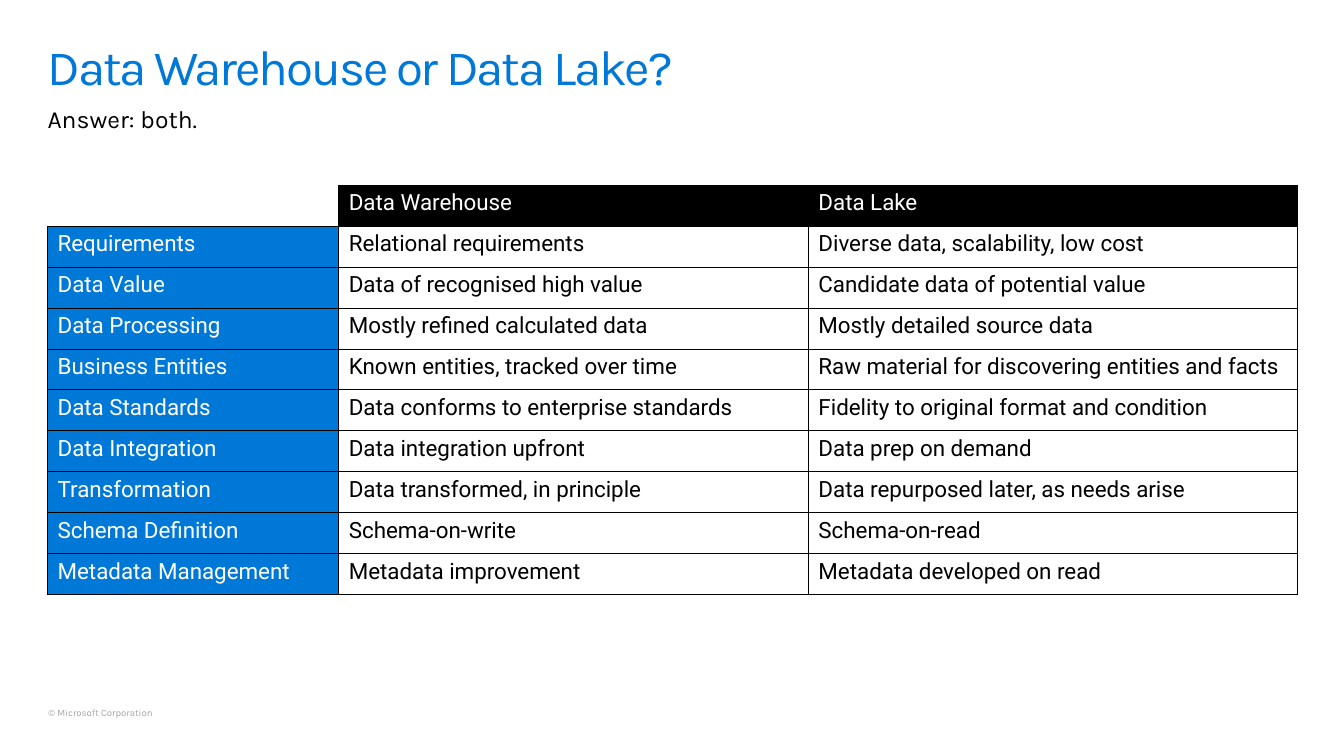
from lxml import etree
from pptx import Presentation
from pptx import util as u
from pptx.dml import color
from pptx.enum import text
from pptx.oxml import ns

Pt = u.Pt
COLORS = {"blue": "0078D7", "black": "000000", "white": "FFFFFF", "gray": "A6A6A6"}
HEADING_FONT, TABLE_FONT = "Karla", "Roboto"
LEFT, WIDTH = 34, 892.8

COLUMN_WIDTHS = (208, 335.5, 349.3)
ROWS = (
    ("", "Data Warehouse", "Data Lake"),
    ("Requirements", "Relational requirements", "Diverse data, scalability, low cost"),
    ("Data Value", "Data of recognised high value", "Candidate data of potential value"),
    ("Data Processing", "Mostly refined calculated data", "Mostly detailed source data"),
    ("Business Entities", "Known entities, tracked over time",
     "Raw material for discovering entities and facts"),
    ("Data Standards", "Data conforms to enterprise standards",
     "Fidelity to original format and condition"),
    ("Data Integration", "Data integration upfront", "Data prep on demand"),
    ("Transformation", "Data transformed, in principle", "Data repurposed later, as needs arise"),
    ("Schema Definition", "Schema-on-write", "Schema-on-read"),
    ("Metadata Management", "Metadata improvement", "Metadata developed on read"),
)


def rgb(name):
    return color.RGBColor.from_string(COLORS[name])


def add_span(para, words, font, size, ink):
    span = para.add_run()
    span.text = words
    span.font.name = font
    span.font.size = Pt(size)
    span.font.color.rgb = rgb(ink)
    return span


def add_line(page, box, words, size, ink, top_inset=0, wrap=True):
    """Place one line of heading-font text and return its paragraph and run."""
    frame = page.shapes.add_textbox(*map(Pt, box)).text_frame
    frame.word_wrap = wrap
    frame.vertical_anchor = text.MSO_ANCHOR.TOP
    frame.margin_left = frame.margin_right = frame.margin_bottom = 0
    frame.margin_top = Pt(top_inset)
    para = frame.paragraphs[0]
    return para, add_span(para, words, HEADING_FONT, size, ink)


def add_heading(page, box):
    left, top, width, height = box
    para, span = add_line(page, (left, top, width, 58), "Data Warehouse or Data Lake?",
                          35.3, "blue", top_inset=13)
    para.line_spacing = 0.9
    span.font._element.set("spc", "-150")
    add_line(page, (left, top + 57, width, height - 57), "Answer: both.", 17.6, "black")


def set_borders(cell, hidden=()):
    properties = cell._tc.get_or_add_tcPr()
    for side in ("lnL", "lnR", "lnT", "lnB"):
        line = etree.SubElement(properties, ns.qn(f"a:{side}"), w=str(Pt(0.5)))
        if side in hidden:
            etree.SubElement(line, ns.qn("a:noFill"))
        else:
            fill = etree.SubElement(line, ns.qn("a:solidFill"))
            etree.SubElement(fill, ns.qn("a:srgbClr"), val=COLORS["black"])


def cell_colors(row, column):
    """Return the fill and text colours for a table position."""
    if row == 0 and column > 0:
        return "black", "white"
    if row > 0 and column == 0:
        return "blue", "white"
    return "white", "black"


def add_comparison(page, box):
    frame = page.shapes.add_table(len(ROWS), len(COLUMN_WIDTHS), *map(Pt, box))
    table = frame.table
    table.first_row = table.horz_banding = False
    for column, width in zip(table.columns, COLUMN_WIDTHS):
        column.width = Pt(width)
    for r, words in enumerate(ROWS):
        table.rows[r].height = Pt(box[3] / len(ROWS))
        for c, label in enumerate(words):
            cell = table.cell(r, c)
            fill, ink = cell_colors(r, c)
            set_borders(cell, hidden=("lnL", "lnT") if r == c == 0 else ())
            cell.fill.solid()
            cell.fill.fore_color.rgb = rgb(fill)
            if label:
                add_span(cell.text_frame.paragraphs[0], label, TABLE_FONT, 16, ink)


def add_footer(page, box):
    para, _ = add_line(page, box, "© Microsoft Corporation", 6.9, "gray", wrap=False)
    para.line_spacing = 0.9


def main():
    deck = Presentation()
    deck.slide_width, deck.slide_height = Pt(960), Pt(540)
    page = deck.slides.add_slide(deck.slide_layouts[6])
    add_heading(page, (LEFT, 17.3, WIDTH, 79))
    add_comparison(page, (LEFT, 132.3, WIDTH, 292.4))
    add_footer(page, (34.5, 506.2, 75.6, 7.2))
    deck.save("out.pptx")


if __name__ == "__main__":
    main()
